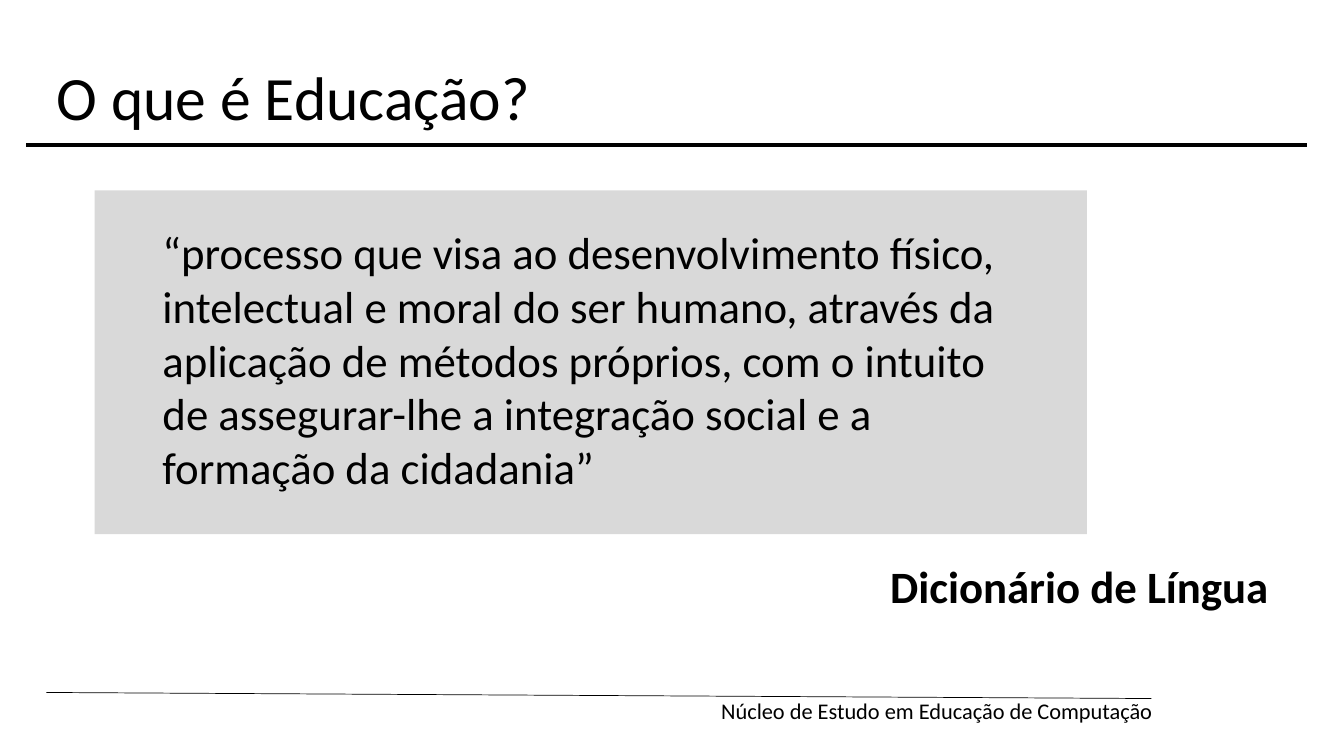
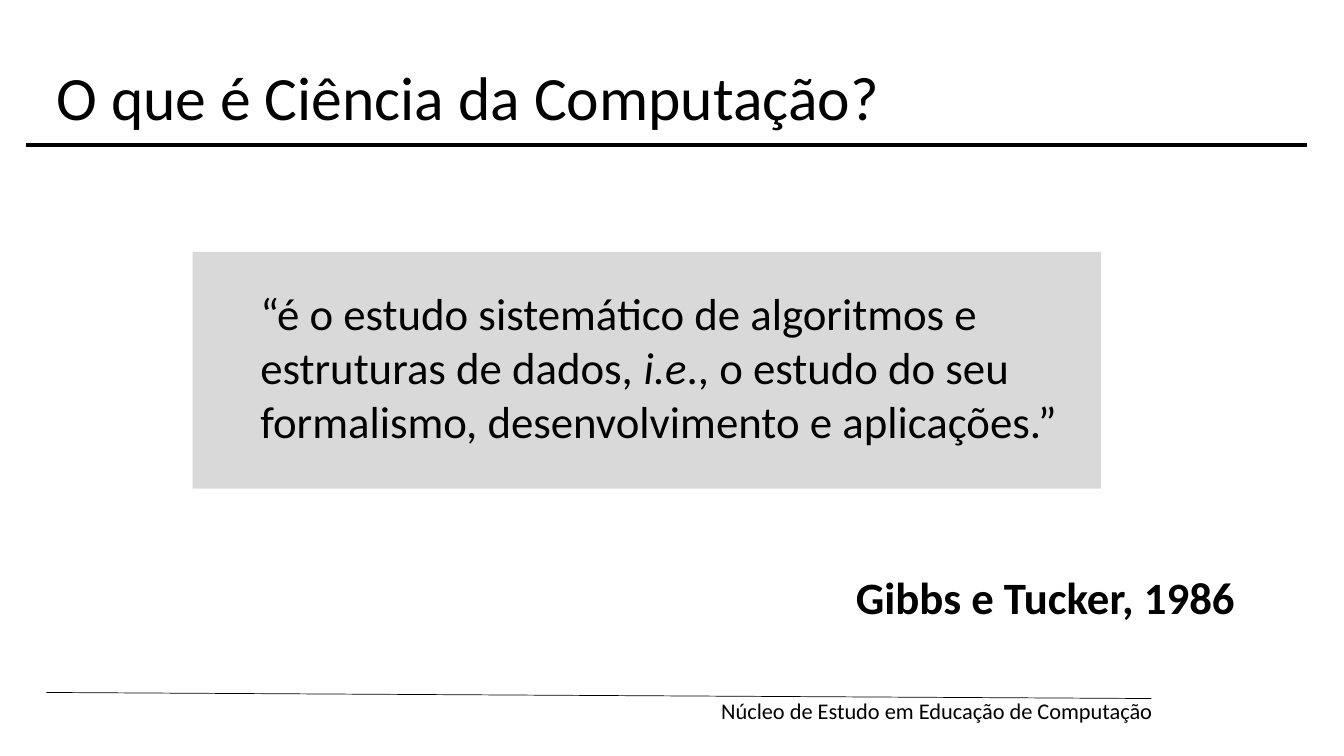
from dataclasses import dataclass

from lxml.etree import SubElement
from pptx import Presentation
from pptx.dml.color import RGBColor
from pptx.enum.shapes import MSO_CONNECTOR, MSO_SHAPE
from pptx.enum.text import MSO_ANCHOR, MSO_AUTO_SIZE, PP_ALIGN
from pptx.oxml.ns import qn
from pptx.slide import Slide
from pptx.text.text import TextFrame
from pptx.util import Inches, Length, Pt

SLIDE_W, SLIDE_H = Inches(13.33), Inches(7.5)


@dataclass(frozen=True)
class Theme:
    font: str = "Calibri"
    ink: RGBColor = RGBColor(0x00, 0x00, 0x00)
    panel: RGBColor = RGBColor(0xD9, 0xD9, 0xD9)
    title_pt: float = 44
    body_pt: float = 32
    footer_pt: float = 16
    title_rule_pt: float = 3
    footer_rule_pt: float = 0.5


@dataclass(frozen=True)
class Box:
    """Left, top, width and height in percent of the slide."""
    x: float
    y: float
    w: float
    h: float

    def emu(self) -> tuple[Length, Length, Length, Length]:
        return across(self.x), down(self.y), across(self.w), down(self.h)


@dataclass(frozen=True)
class Span:
    text: str
    italic: bool = False


@dataclass(frozen=True)
class QuoteSlide:
    title: str
    panel: Box
    quote: tuple[Span, ...]
    credit: str
    credit_box: Box


THEME = Theme()
TITLE_BOX = Box(3.45, 7.07, 90, 11.2)
FOOTER_BOX = Box(52.06, 91.6, 34.43, 4.93)
FOOTER = "Núcleo de Estudo em Educação de Computação"
INSET_X, INSET_Y, QUOTE_W = 4.3, 3.87, 65.79

SLIDES = (
    QuoteSlide(
        "O que é Educação?",
        Box(7.05, 25.2, 73.82, 45.47),
        (Span("“processo que visa ao desenvolvimento físico, intelectual e moral "
              "do ser humano, através da aplicação de métodos próprios, com o "
              "intuito de assegurar-lhe a integração social e a formação da "
              "cidadania”"),),
        "Dicionário de Língua",
        Box(65.49, 73.2, 29.93, 8.53),
    ),
    QuoteSlide(
        "O que é Ciência da Computação?",
        Box(14.33, 33.33, 67.59, 31.33),
        (Span("“é o estudo sistemático de algoritmos e estruturas de dados, "),
         Span("i.e", italic=True),
         Span("., o estudo do seu formalismo, desenvolvimento e aplicações.”")),
        "Gibbs e Tucker, 1986",
        Box(62.94, 74.67, 30.01, 8.53),
    ),
)


def across(pct: float) -> Length:
    return Length(int(SLIDE_W * pct / 100))


def down(pct: float) -> Length:
    return Length(int(SLIDE_H * pct / 100))


def format_text(tf: TextFrame, size: float, bold: bool = False,
                align: PP_ALIGN = PP_ALIGN.LEFT) -> None:
    for p in tf.paragraphs:
        p.alignment = align
        for r in p.runs:
            r.font.name = THEME.font
            r.font.size = Pt(size)
            r.font.bold = bold
            r.font.color.rgb = THEME.ink


def add_text(s: Slide, box: Box, spans: tuple[Span, ...], size: float,
             wrap: bool = False, bold: bool = False,
             align: PP_ALIGN = PP_ALIGN.LEFT) -> None:
    tf = s.shapes.add_textbox(*box.emu()).text_frame
    tf.word_wrap = wrap
    for span in spans:
        r = tf.paragraphs[0].add_run()
        r.text = span.text
        r.font.italic = span.italic
    format_text(tf, size, bold, align)


def add_rule(s: Slide, x1: float, y1: float, x2: float, y2: float,
             width: float) -> None:
    line = s.shapes.add_connector(MSO_CONNECTOR.STRAIGHT, across(x1), down(y1),
                                  across(x2), down(y2))
    line.line.color.rgb = THEME.ink
    line.line.width = Pt(width)
    SubElement(line._element.spPr, qn("a:effectLst"))


def add_frame(s: Slide, title: str) -> None:
    # Title and the rule under it
    sp = s.shapes.title
    sp.left, sp.top, sp.width, sp.height = TITLE_BOX.emu()
    tf = sp.text_frame
    tf.text = title
    tf.auto_size = MSO_AUTO_SIZE.NONE
    tf.vertical_anchor = MSO_ANCHOR.TOP
    format_text(tf, THEME.title_pt)
    add_rule(s, 97.22, 19.2, 1.95, 19.2, THEME.title_rule_pt)
    # Footer, with its slightly slanted rule
    add_rule(s, 85.67, 92.4, 3.45, 91.6, THEME.footer_rule_pt)
    add_text(s, FOOTER_BOX, (Span(FOOTER),), THEME.footer_pt,
             align=PP_ALIGN.RIGHT)


def add_quote(s: Slide, item: QuoteSlide) -> None:
    # Grey panel
    panel = item.panel
    sp = s.shapes.add_shape(MSO_SHAPE.RECTANGLE, *panel.emu())
    sp.shadow.inherit = False
    sp.fill.solid()
    sp.fill.fore_color.rgb = THEME.panel
    sp.line.fill.background()
    # Quotation and its source
    quote_box = Box(panel.x + INSET_X, panel.y + INSET_Y,
                    QUOTE_W, panel.h - 2 * INSET_Y)
    add_text(s, quote_box, item.quote, THEME.body_pt, wrap=True)
    add_text(s, item.credit_box, (Span(item.credit),), THEME.body_pt, bold=True)


def main() -> None:
    prs = Presentation()
    prs.slide_width, prs.slide_height = SLIDE_W, SLIDE_H
    title_only = prs.slide_layouts[5]
    for item in SLIDES:
        s = prs.slides.add_slide(title_only)
        add_frame(s, item.title)
        add_quote(s, item)
    prs.save("out.pptx")


if __name__ == "__main__":
    main()
